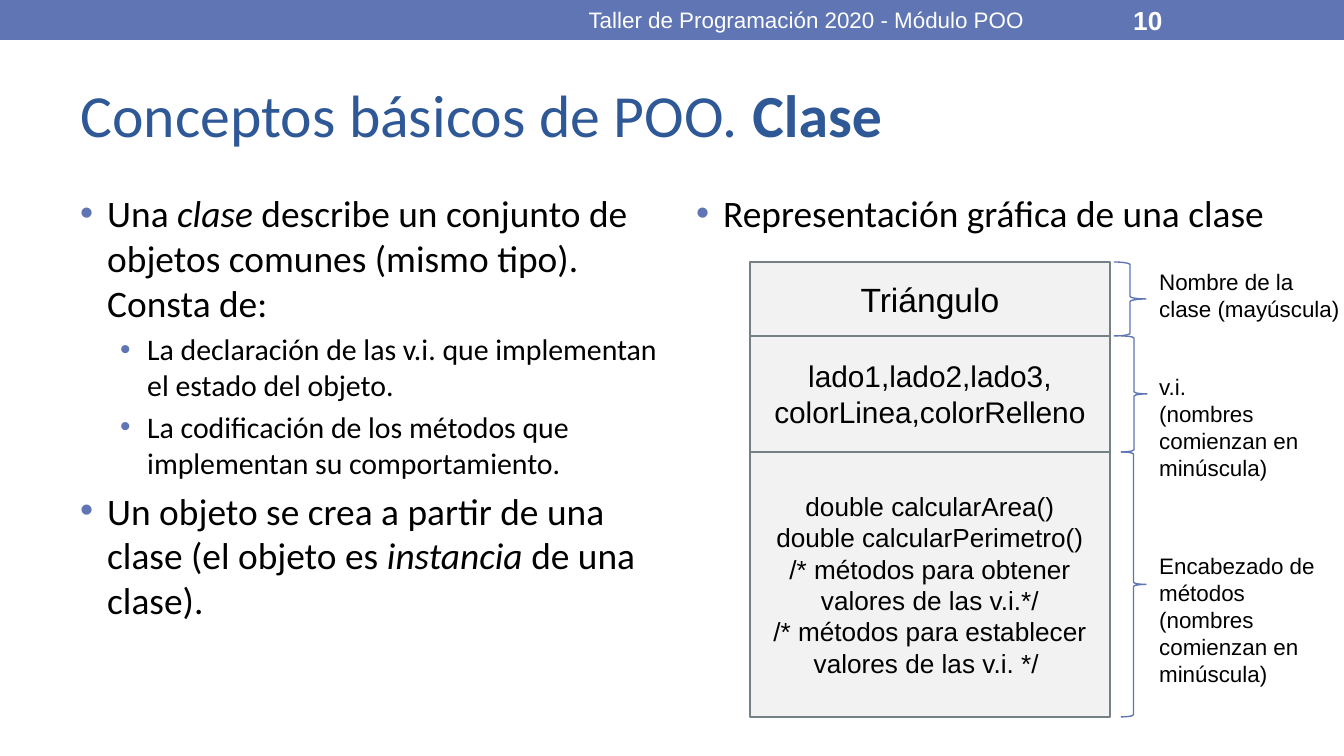
from lxml.etree import SubElement
from pptx import Presentation
from pptx.dml.color import RGBColor
from pptx.enum.shapes import MSO_SHAPE as Shape
from pptx.enum.text import MSO_ANCHOR as Anchor, PP_ALIGN as Align
from pptx.oxml.ns import qn
from pptx.util import Pt

PX = 914400 / 134.4
BLUE, NAVY, BLACK, WHITE = "6076B4", "2F5897", "000000", "FFFFFF"
PALE, GRAY = "F2F2F2", "758085"


def emu(px):
    return round(px * PX)


def color(value):
    return RGBColor.from_string(value)


class Deck:
    def __init__(self, width, height):
        self.prs = Presentation()
        self.prs.slide_width, self.prs.slide_height = emu(width), emu(height)
        self.slide = None

    def add_slide(self):
        self.slide = self.prs.slides.add_slide(self.prs.slide_layouts[5])

    def add_runs(self, paragraph, runs, size, font="Arial", ink=BLACK, align=Align.LEFT):
        paragraph.alignment = align
        for content, style in runs:
            run = paragraph.add_run()
            run.text = content
            run.font.size = Pt(size)
            run.font.name = font
            run.font.color.rgb = color(ink)
            run.font.bold = style == "b"
            run.font.italic = style == "i"

    def fill_lines(self, frame, lines, size, **style):
        for i, line in enumerate(lines):
            paragraph = frame.add_paragraph() if i else frame.paragraphs[0]
            self.add_runs(paragraph, [(line, "")], size, **style)

    def title(self, box, runs):
        title = self.slide.shapes.title
        title.left, title.top, title.width, title.height = map(emu, box)
        title.text_frame.vertical_anchor = Anchor.MIDDLE
        self.add_runs(title.text_frame.paragraphs[0], runs, 32, "Calibri", NAVY)

    def frame(self, box, anchor=Anchor.TOP):
        frame = self.slide.shapes.add_textbox(*map(emu, box)).text_frame
        frame.word_wrap = True
        frame.vertical_anchor = anchor
        return frame

    def text(self, box, lines, size, anchor=Anchor.TOP, **style):
        self.fill_lines(self.frame(box, anchor), lines, size, **style)

    def bullets(self, box, items):
        frame = self.frame(box)
        for i, (level, runs) in enumerate(items):
            paragraph = frame.add_paragraph() if i else frame.paragraphs[0]
            size = 16 if level else 20
            paragraph.level = level
            paragraph.space_before = Pt(size / 5 if i else 0)
            self.add_runs(paragraph, runs, size, "Calibri")
            props = paragraph._p.get_or_add_pPr()
            props.set("marL", str(emu(67 if level else 27)))
            props.set("indent", str(emu(-27)))
            SubElement(SubElement(props, qn("a:buClr")), qn("a:srgbClr"), val=BLUE)
            SubElement(props, qn("a:buFont"), typeface="Arial")
            SubElement(props, qn("a:buChar"), char="•")

    def shape(self, kind, box, fill=None, line=None):
        shape = self.slide.shapes.add_shape(kind, *map(emu, box))
        shape.shadow.inherit = False
        if fill:
            shape.fill.solid()
            shape.fill.fore_color.rgb = color(fill)
        else:
            shape.fill.background()
        if line:
            shape.line.color.rgb = color(line)
            shape.line.width = Pt(0.75)
        else:
            shape.line.fill.background()
        return shape

    def compartment(self, box, lines, size):
        frame = self.shape(Shape.RECTANGLE, box, PALE, GRAY).text_frame
        frame.word_wrap = True
        frame.vertical_anchor = Anchor.MIDDLE
        self.fill_lines(frame, lines, size, align=Align.CENTER)

    def brace(self, box):
        self.shape(Shape.RIGHT_BRACE, box, line=BLUE)


def main():
    deck = Deck(1344, 756)
    deck.add_slide()
    deck.shape(Shape.RECTANGLE, (0, 0, 1344, 40), BLUE)
    deck.title((67, 59, 1210, 109), [("Conceptos básicos de POO. ", ""), ("Clase", "b")])
    deck.bullets((67, 184, 626, 520), [
        (0, [("Una ", ""), ("clase", "i"),
             (" describe un conjunto de objetos comunes (mismo tipo). Consta de:", "")]),
        (1, [("La declaración de las v.i. que implementan el estado del objeto.", "")]),
        (1, [("La codificación de los métodos que implementan su comportamiento.", "")]),
        (0, [("Un objeto se crea a partir de una clase (el objeto es", ""),
             (" instancia ", "i"), ("de una clase).", "")]),
    ])
    deck.bullets((683, 184, 676, 520), [(0, [("Representación gráfica de una clase", "")])])
    deck.text((504, 2, 605, 36), ["Taller de Programación 2020 - Módulo POO"], 12,
              Anchor.MIDDLE, ink=WHITE, align=Align.CENTER)
    page_number = deck.frame((1120, 2, 157, 36), Anchor.MIDDLE)
    deck.add_runs(page_number.paragraphs[0], [("10", "b")], 14, ink=WHITE)

    naming = "(nombres comienzan en minúscula)"
    class_parts = [
        (74, 18, ["Triángulo"],
         (1114, 32), (262, 214, 67), ["Nombre de la clase (mayúscula)"]),
        (116, 16, ["lado1,lado2,lado3,", "colorLinea,colorRelleno"],
         (1121, 26), (367, 183, 122), ["v.i.", naming]),
        (265, 14, ["double calcularArea() double calcularPerimetro()",
                   "/* métodos para obtener valores de las v.i.*/",
                   "/* métodos para establecer valores de las v.i. */ "],
         (1121, 25), (546, 183, 149), ["Encabezado de métodos", naming]),
    ]
    top = 262
    for height, size, members, (brace_left, brace_width), label_box, label in class_parts:
        deck.compartment((750, top, 360, height), members, size)
        deck.brace((brace_left, top, brace_width, height))
        label_top, label_width, label_height = label_box
        deck.text((1146, label_top, label_width, label_height), label, 12)
        top += height
    deck.prs.save("out.pptx")


if __name__ == "__main__":
    main()
